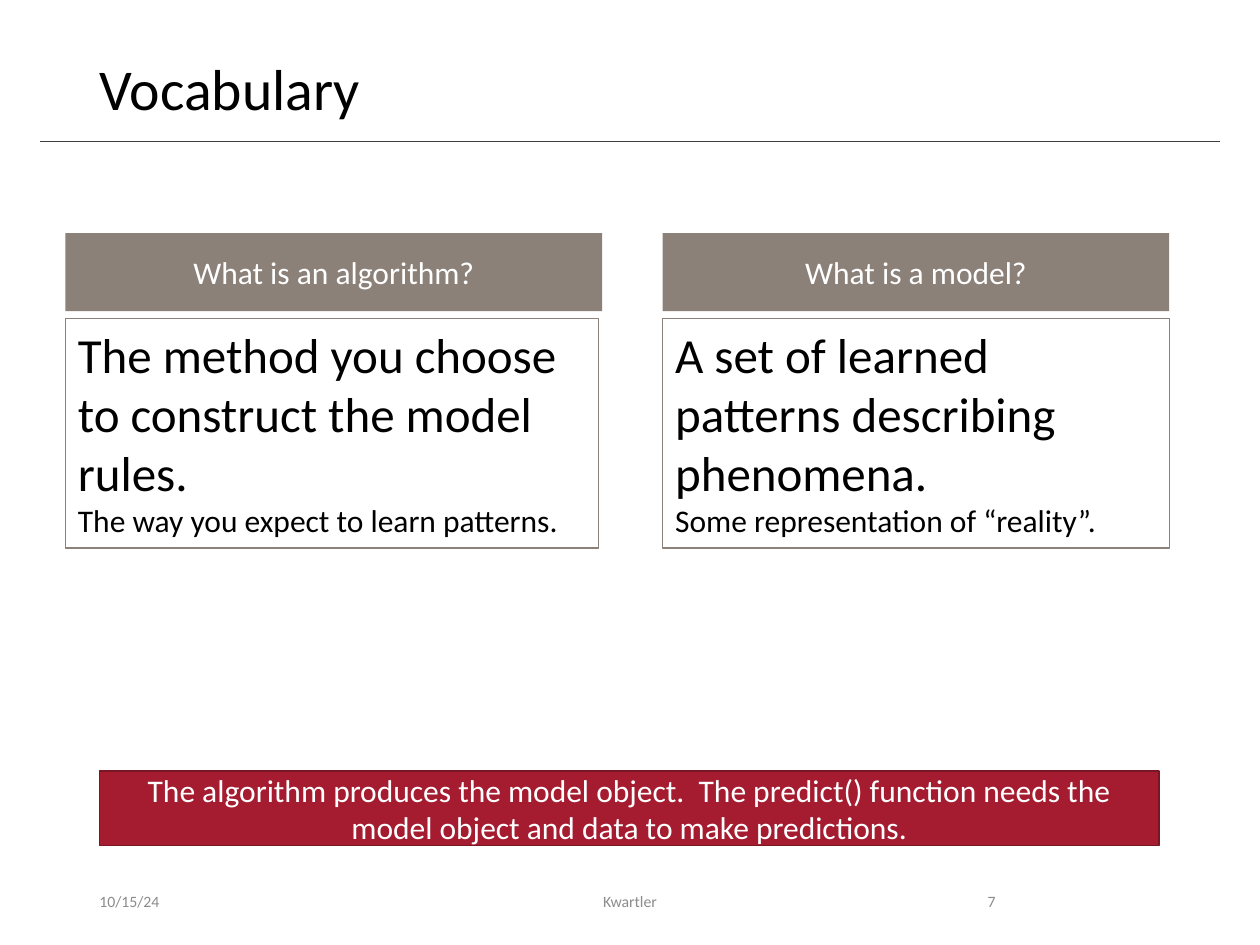
from lxml import etree
from pptx import Presentation
from pptx.dml.color import RGBColor
from pptx.enum.shapes import MSO_CONNECTOR, MSO_SHAPE
from pptx.enum.text import MSO_ANCHOR, PP_ALIGN
from pptx.oxml.ns import qn
from pptx.util import Inches, Pt

LEFT, CENTER, RIGHT = PP_ALIGN.LEFT, PP_ALIGN.CENTER, PP_ALIGN.RIGHT
TOP, MIDDLE = MSO_ANCHOR.TOP, MSO_ANCHOR.MIDDLE
FONT = "Calibri"
TITLE_ONLY = 5
COLORS = {
    "black": "000000",
    "white": "FFFFFF",
    "rule": "404040",
    "taupe": "8C8179",
    "crimson": "A51C30",
    "dark crimson": "7A1524",
    "footer": "8C8C8C",
}


def rgb(name):
    return RGBColor.from_string(COLORS[name])


def write_text(shape, lines, color, alignment=LEFT, anchor=MIDDLE):
    """Fill a shape with (text, size) lines."""
    frame = shape.text_frame
    frame.word_wrap = True
    frame.vertical_anchor = anchor
    for index, (text, size) in enumerate(lines):
        paragraph = frame.add_paragraph() if index else frame.paragraphs[0]
        paragraph.text = text
        paragraph.alignment = alignment
        paragraph.font.name = FONT
        paragraph.font.size = Pt(size)
        paragraph.font.color.rgb = rgb(color)


def place_title(slide, text):
    title = slide.shapes.title
    title.left, title.top = Inches(0.69), Inches(0.4)
    title.width, title.height = Inches(8.62), Inches(0.65)
    write_text(title, [(text, 33)], "black")
    title.text_frame.paragraphs[0].line_spacing = 0.9


def add_rule(slide, left, right, y):
    rule = slide.shapes.add_connector(
        MSO_CONNECTOR.STRAIGHT, Inches(left), Inches(y), Inches(right), Inches(y))
    rule.line.color.rgb = rgb("rule")
    rule.line.width = Pt(0.5)
    etree.SubElement(rule._element.spPr, qn("a:effectLst"))


def add_box(slide, left, top, width, height, fill=None, line=None, line_width=0.75):
    box = slide.shapes.add_shape(
        MSO_SHAPE.RECTANGLE, Inches(left), Inches(top), Inches(width), Inches(height))
    box.shadow.inherit = False
    if fill:
        box.fill.solid()
        box.fill.fore_color.rgb = rgb(fill)
    else:
        box.fill.background()
    if line:
        box.line.color.rgb = rgb(line)
        box.line.width = Pt(line_width)
    else:
        box.line.fill.background()
    return box


def add_definition(slide, left, heading_width, body_width, question, answer, detail):
    heading = add_box(slide, left, 1.85, heading_width, 0.62, fill="taupe")
    write_text(heading, [(question, 18)], "white", CENTER)
    body = add_box(slide, left, 2.53, body_width, 1.82, line="taupe")
    write_text(body, [(answer, 28), (detail, 18)], "black", anchor=TOP)


def add_footer(slide, left, width, text, alignment):
    box = slide.shapes.add_textbox(
        Inches(left), Inches(6.95), Inches(width), Inches(0.4))
    write_text(box, [(text, 9)], "footer", alignment)


def main():
    presentation = Presentation()
    presentation.slide_width = Inches(10)
    presentation.slide_height = Inches(7.5)
    slide = presentation.slides.add_slide(presentation.slide_layouts[TITLE_ONLY])

    # Title and rule
    place_title(slide, "Vocabulary")
    add_rule(slide, 0.32, 9.68, 1.12)

    # Definitions
    add_definition(slide, 0.52, 4.26, 4.23, "What is an algorithm?",
                   "The method you choose to construct the model rules.",
                   "The way you expect to learn patterns.")
    add_definition(slide, 5.26, 4.02, 4.02, "What is a model?",
                   "A set of learned patterns describing phenomena.",
                   "Some representation of “reality”.")

    # Takeaway
    takeaway = add_box(slide, 0.79, 6.12, 8.41, 0.59, "crimson", "dark crimson", 1)
    write_text(takeaway, [("The algorithm produces the model object.  The predict() function "
                           "needs the model object and data to make predictions.", 18)],
               "white", CENTER)

    # Footer
    add_footer(slide, 0.69, 2.25, "10/15/24", LEFT)
    add_footer(slide, 3.31, 3.38, "Kwartler", CENTER)
    add_footer(slide, 7.06, 0.94, "7", RIGHT)

    presentation.save("out.pptx")


if __name__ == "__main__":
    main()
